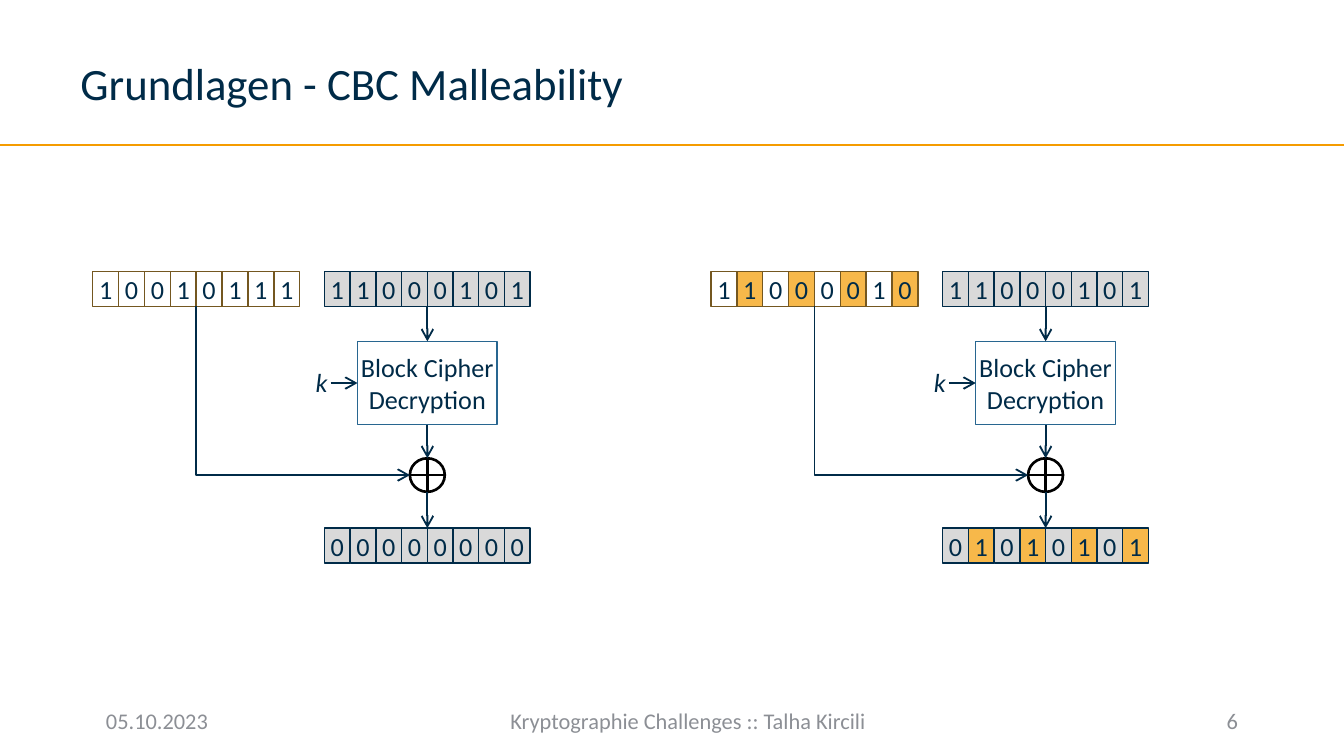
from dataclasses import dataclass

import pptx
import pptx.dml.color
import pptx.enum.shapes
import pptx.enum.text
import pptx.oxml
import pptx.oxml.ns
import pptx.util
from pptx.enum.shapes import MSO_CONNECTOR, MSO_SHAPE
from pptx.enum.text import MSO_ANCHOR, MSO_AUTO_SIZE, PP_ALIGN

GRID_STEP = 0.1
COLUMNS = 100
ROWS = 56.25


@dataclass(frozen=True)
class Theme:
    font: str = "Calibri"
    ink: str = "002B48"
    muted: str = "8C8F95"
    rule: str = "F59C00"
    flipped: str = "F7B84A"
    block: str = "D9D9D9"
    previous_outline: str = "745720"
    cipher_outline: str = "286690"
    xor_outline: str = "000000"
    title_size: float = 24
    diagram_size: float = 14
    footer_size: float = 12
    thin: float = 0.75
    arrow: float = 1
    rule_width: float = 1.25
    xor_width: float = 1.42


THEME = Theme()


@dataclass(frozen=True)
class Area:
    column: float
    row: float
    columns: float
    rows: float

    @property
    def center(self) -> float:
        return self.column + self.columns / 2

    @property
    def middle(self) -> float:
        return self.row + self.rows / 2

    @property
    def right(self) -> float:
        return self.column + self.columns

    @property
    def bottom(self) -> float:
        return self.row + self.rows

    def lengths(self) -> list[int]:
        return [grid(value) for value in (self.column, self.row, self.columns, self.rows)]


@dataclass(frozen=True)
class BitRow:
    area: Area
    bits: str
    fill: str | None
    outline: str
    flipped: tuple[int, ...] = ()


@dataclass(frozen=True)
class Decryption:
    column: float
    previous: str
    plaintext: str
    flipped_previous: tuple[int, ...] = ()
    flipped_plaintext: tuple[int, ...] = ()


@dataclass(frozen=True)
class Label:
    area: Area
    text: str
    size: float
    color: str
    align: PP_ALIGN = PP_ALIGN.LEFT


CIPHERTEXT = "11000101"
DECRYPTIONS = (
    Decryption(52.9, "11000010", "01010101", (1, 3, 5, 7), (1, 3, 5, 7)),
    Decryption(6.9, "10010111", "00000000"),
)
LABELS = (
    Label(Area(5, 2.3, 78.1, 7.7), "Grundlagen - CBC Malleability", THEME.title_size, THEME.ink),
    Label(Area(6.9, 52.1, 10.1, 3), "05.10.2023", THEME.footer_size, THEME.muted),
    Label(Area(20.1, 52.1, 62.2, 3), "Kryptographie Challenges :: Talha Kircili",
          THEME.footer_size, THEME.muted, PP_ALIGN.CENTER),
    Label(Area(85.4, 52.1, 7.7, 3), "6", THEME.footer_size, THEME.muted, PP_ALIGN.RIGHT),
)


def grid(steps: float) -> int:
    return pptx.util.Inches(steps * GRID_STEP)


def rgb(color: str) -> pptx.dml.color.RGBColor:
    return pptx.dml.color.RGBColor.from_string(color)


def write_text(shape, text: str, *, size: float, color: str = THEME.ink,
               align: PP_ALIGN = PP_ALIGN.CENTER, anchor: MSO_ANCHOR = MSO_ANCHOR.MIDDLE,
               wrap: bool = False, italic: bool = False) -> None:
    frame = shape.text_frame
    frame.text = text
    frame.word_wrap = wrap
    frame.vertical_anchor = anchor
    for paragraph in frame.paragraphs:
        paragraph.alignment = align
        paragraph.font.name = THEME.font
        paragraph.font.size = pptx.util.Pt(size)
        paragraph.font.italic = italic
        paragraph.font.color.rgb = rgb(color)


def draw_shape(shapes, kind: MSO_SHAPE, area: Area, outline: str,
               width: float = THEME.thin, fill: str | None = None):
    shape = shapes.add_shape(kind, *area.lengths())
    shape.shadow.inherit = False
    if fill:
        shape.fill.solid()
        shape.fill.fore_color.rgb = rgb(fill)
    else:
        shape.fill.background()
    shape.line.color.rgb = rgb(outline)
    shape.line.width = pptx.util.Pt(width)
    return shape


def draw_line(shapes, start: tuple[float, float], end: tuple[float, float], *,
              color: str = THEME.ink, width: float = THEME.arrow, arrow: bool = False,
              kind: MSO_CONNECTOR = MSO_CONNECTOR.STRAIGHT):
    connector = shapes.add_connector(kind, *map(grid, start + end))
    connector.line.color.rgb = rgb(color)
    connector.line.width = pptx.util.Pt(width)
    properties = connector._element.spPr
    if arrow:
        tail = pptx.oxml.parse_xml(f'<a:tailEnd {pptx.oxml.ns.nsdecls("a")} type="arrow"/>')
        properties.find(pptx.oxml.ns.qn("a:ln")).append(tail)
    properties.append(pptx.oxml.parse_xml(f'<a:effectLst {pptx.oxml.ns.nsdecls("a")}/>'))
    return connector


def draw_corner_arrow(shapes, start: tuple[float, float], end: tuple[float, float]) -> None:
    center, middle = (start[0] + end[0]) / 2, (start[1] + end[1]) / 2
    half_run, half_drop = (end[0] - start[0]) / 2, (end[1] - start[1]) / 2
    connector = draw_line(shapes, (center + half_drop, middle - half_run),
                          (center - half_drop, middle + half_run),
                          arrow=True, kind=MSO_CONNECTOR.ELBOW)
    properties = connector._element.spPr
    properties.find(pptx.oxml.ns.qn("a:xfrm")).set("rot", str(270 * 60000))
    properties.find(pptx.oxml.ns.qn("a:prstGeom")).set("prst", "bentConnector2")


def draw_bits(shapes, row: BitRow) -> None:
    width = row.area.columns / len(row.bits)
    for index, bit in enumerate(row.bits):
        cell = Area(row.area.column + index * width, row.area.row, width, row.area.rows)
        fill = THEME.flipped if index in row.flipped else row.fill
        shape = draw_shape(shapes, MSO_SHAPE.RECTANGLE, cell, row.outline, fill=fill)
        write_text(shape, bit, size=THEME.diagram_size)


def draw_decryption(slide, decryption: Decryption) -> None:
    shapes = slide.shapes.add_group_shape().shapes
    axis = decryption.column + 24.9

    def centered(row: float, columns: float, rows: float) -> Area:
        return Area(axis - columns / 2, row, columns, rows)

    previous = Area(decryption.column, 20.2, 15.4, 2.6)
    ciphertext = centered(20.2, 15.3, 2.6)
    cipher = centered(25.4, 10.4, 6.2)
    xor = centered(34.1, 2.6, 2.5)
    plaintext = centered(39.3, 15.3, 2.6)
    key = Area(cipher.column - 4.1, 26.8, 2.1, 3.5)

    xor_shape = draw_shape(shapes, MSO_SHAPE.OVAL, xor, THEME.xor_outline, THEME.xor_width)
    for start, end in (((xor.column, xor.middle), (xor.right, xor.middle)),
                       ((axis, xor.row), (axis, xor.bottom))):
        draw_line(shapes, start, end, color=THEME.xor_outline, width=THEME.xor_width)

    cipher_shape = draw_shape(shapes, MSO_SHAPE.RECTANGLE, cipher, THEME.cipher_outline)
    write_text(cipher_shape, "Block Cipher\nDecryption", size=THEME.diagram_size)
    key_box = shapes.add_textbox(*key.lengths())
    write_text(key_box, "k", size=THEME.diagram_size, align=PP_ALIGN.LEFT,
               anchor=MSO_ANCHOR.TOP, wrap=True, italic=True)
    key_box.text_frame.auto_size = MSO_AUTO_SIZE.SHAPE_TO_FIT_TEXT

    draw_bits(shapes, BitRow(previous, decryption.previous, None,
                             THEME.previous_outline, decryption.flipped_previous))
    draw_bits(shapes, BitRow(ciphertext, CIPHERTEXT, THEME.block, THEME.ink))
    draw_bits(shapes, BitRow(plaintext, decryption.plaintext, THEME.block,
                             THEME.ink, decryption.flipped_plaintext))

    draw_line(shapes, (axis, xor.bottom), (axis, plaintext.row), arrow=True)
    output = draw_line(shapes, (axis, cipher.bottom), (axis, xor.row), arrow=True)
    output.begin_connect(cipher_shape, 2)
    output.end_connect(xor_shape, 0)
    block_input = draw_line(shapes, (axis, ciphertext.bottom), (axis, cipher.row), arrow=True)
    block_input.end_connect(cipher_shape, 0)
    key_input = draw_line(shapes, (key.right, cipher.middle),
                          (cipher.column, cipher.middle), arrow=True)
    key_input.end_connect(cipher_shape, 1)
    draw_corner_arrow(shapes, (previous.center, previous.bottom), (xor.column, xor.middle))


def main() -> None:
    presentation = pptx.Presentation()
    presentation.slide_width = grid(COLUMNS)
    presentation.slide_height = grid(ROWS)
    slide = presentation.slides.add_slide(presentation.slide_layouts[6])
    draw_line(slide.shapes, (0, 10.8), (COLUMNS, 10.8), color=THEME.rule, width=THEME.rule_width)
    for label in LABELS:
        box = slide.shapes.add_textbox(*label.area.lengths())
        write_text(box, label.text, size=label.size, color=label.color,
                   align=label.align, wrap=True)
    for decryption in DECRYPTIONS:
        draw_decryption(slide, decryption)
    presentation.save("out.pptx")


if __name__ == "__main__":
    main()
